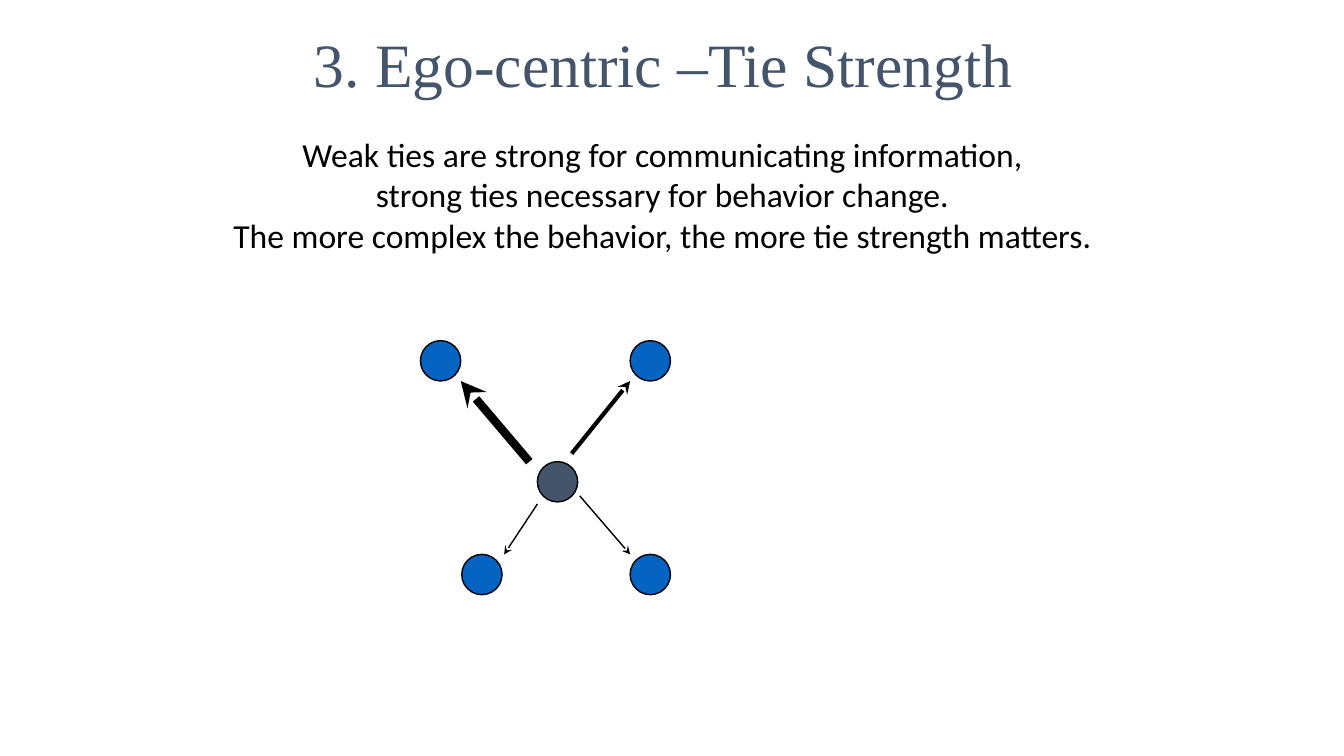
from lxml.etree import SubElement
from pptx import Presentation
from pptx.dml.color import RGBColor
from pptx.enum.shapes import MSO_CONNECTOR, MSO_SHAPE
from pptx.enum.text import MSO_ANCHOR, MSO_AUTO_SIZE, PP_ALIGN
from pptx.oxml.ns import qn
from pptx.util import Inches, Pt

SLATE, BLUE, BLACK = "44546A", "0563C1", "000000"
NODE_SIZE = 0.4
EGO = (1.16, 1.2)
ALTERS = [(0, 0), (2.08, 0), (2.08, 2.12), (0.41, 2.12)]
TIES = [
    ((0.4, 0.4), (1.08, 1.2), 6),
    ((2.08, 0.4), (1.5, 1.12), 3),
    ((2.08, 2.12), (1.58, 1.54), 1),
    ((0.83, 2.12), (1.16, 1.62), 1),
]
MESSAGE = [
    "Weak ties are strong for communicating information,",
    "strong ties necessary for behavior change.",
    "The more complex the behavior, the more tie strength matters.",
]


def paint(color_format, hex_color):
    """Apply a hex colour to a fill, line or font colour."""
    color_format.rgb = RGBColor.from_string(hex_color)


def place(part, left, top, width, height):
    """Move a shape to a box given in inches."""
    part.left, part.top = Inches(left), Inches(top)
    part.width, part.height = Inches(width), Inches(height)


def format_text(frame, font_name, size, hex_color):
    """Centre every paragraph and set the font of its runs."""
    for paragraph in frame.paragraphs:
        paragraph.alignment = PP_ALIGN.CENTER
        for run in paragraph.runs:
            run.font.name, run.font.size = font_name, Pt(size)
            paint(run.font.color, hex_color)


def add_heading(slide, left, top, width, height):
    """Fill the title placeholder."""
    heading = slide.shapes.title
    place(heading, left, top, width, height)
    frame = heading.text_frame
    frame.text = "3. Ego-centric –Tie Strength"
    frame.auto_size = MSO_AUTO_SIZE.NONE
    frame.vertical_anchor = MSO_ANCHOR.MIDDLE
    format_text(frame, "Times New Roman", 44, SLATE)


def add_message(slide, left, top, width, height):
    """Add the three centred lines about tie strength."""
    message = slide.shapes.add_textbox(
        Inches(left), Inches(top), Inches(width), Inches(height))
    frame = message.text_frame
    frame.text = "\n".join(MESSAGE)
    frame.word_wrap = False
    frame.auto_size = MSO_AUTO_SIZE.SHAPE_TO_FIT_TEXT
    format_text(frame, "Calibri", 24, BLACK)


def add_node(slide, left, top, hex_color):
    """Add one person as a circle."""
    node = slide.shapes.add_shape(
        MSO_SHAPE.OVAL, Inches(left), Inches(top),
        Inches(NODE_SIZE), Inches(NODE_SIZE))
    node.shadow.inherit = False
    node.fill.solid()
    paint(node.fill.fore_color, hex_color)
    paint(node.line.color, BLACK)
    node.line.width = Pt(1)


def add_tie(slide, alter, ego, strength):
    """Add an arrow pointing at the alter, as thick as the tie is strong."""
    tie = slide.shapes.add_connector(
        MSO_CONNECTOR.STRAIGHT, *[Inches(value) for value in (*alter, *ego)])
    paint(tie.line.color, BLACK)
    tie.line.width = Pt(strength)
    properties = tie._element.spPr
    SubElement(properties.find(qn("a:ln")), qn("a:headEnd"), type="stealth")
    SubElement(properties, qn("a:effectLst"))


def add_network(slide, left, top):
    """Draw the ego, its alters and the ties between them."""
    for (x, y), hex_color in [(EGO, SLATE)] + [(alter, BLUE) for alter in ALTERS]:
        add_node(slide, left + x, top + y, hex_color)
    for alter, ego, strength in TIES:
        add_tie(slide, (left + alter[0], top + alter[1]),
                (left + ego[0], top + ego[1]), strength)


def main():
    """Build and save the slide."""
    deck = Presentation()
    deck.slide_width, deck.slide_height = Inches(13.33), Inches(7.5)
    slide = deck.slides.add_slide(deck.slide_layouts.get_by_name("Title Only"))
    add_heading(slide, 2.33, 0, 8.5, 1.25)
    add_message(slide, 2.17, 1.28, 8.8, 1.31)
    add_network(slide, 4.17, 3.38)
    deck.save("out.pptx")


if __name__ == "__main__":
    main()
